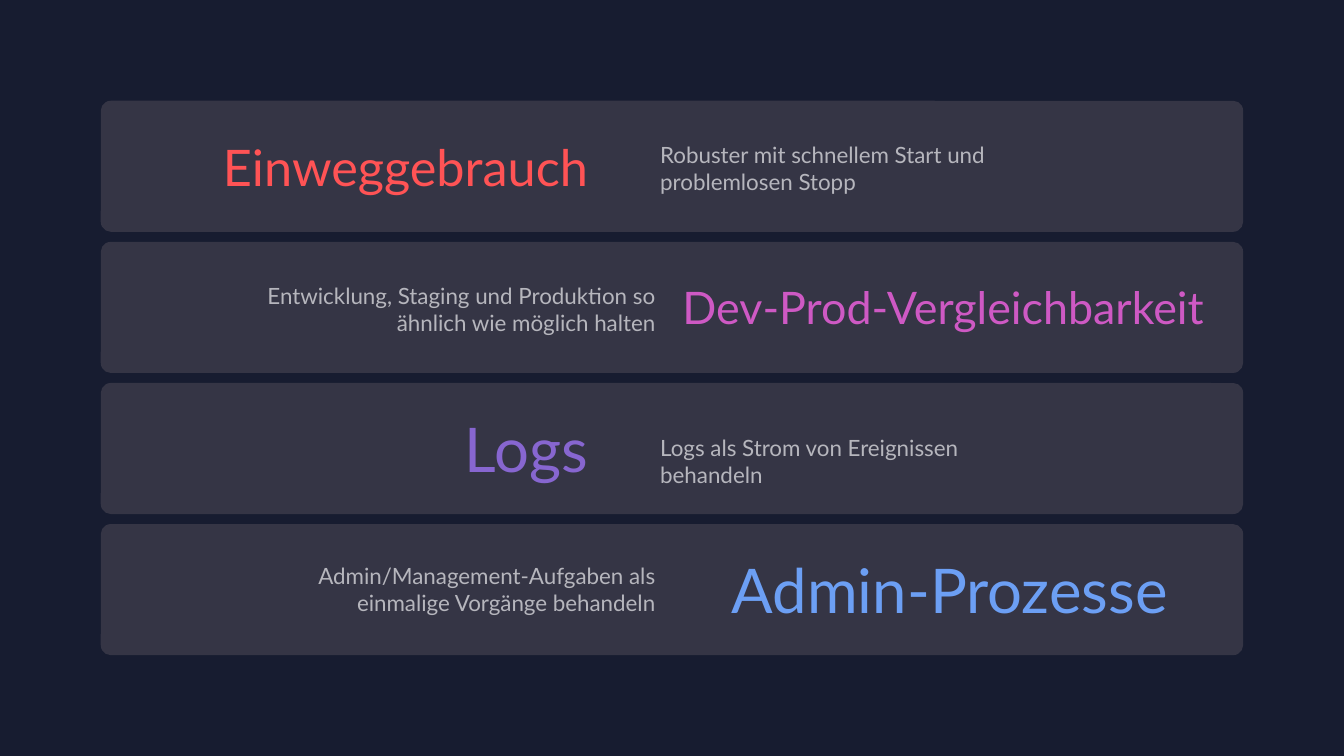
import pptx
import pptx.dml.color
import pptx.enum.shapes
import pptx.enum.text
import pptx.util

Inches = pptx.util.Inches
ALIGN = pptx.enum.text.PP_ALIGN

PRINCIPLES = [
    dict(
        heading="Einweggebrauch", heading_box=(1.19, 1.3, 4.74, 0.71), size=36,
        gradient=("FF5355", "CE59C4"), angle=110, heading_on_left=True,
        detail="Robuster mit schnellem Start und problemlosen Stopp", detail_top=1.35,
    ),
    dict(
        heading="Dev-Prod-Vergleichbarkeit", heading_box=(6.67, 2.73, 5.62, 0.64), size=32,
        gradient=("CE59C4", "8766D0"), angle=110, heading_on_left=False,
        detail="Entwicklung, Staging und Produktion so ähnlich wie möglich halten", detail_top=2.75,
    ),
    dict(
        heading="Logs", heading_box=(0.3, 4.03, 5.63, 0.84), size=44,
        gradient=("8766D0", "6C9FF4"), angle=310, heading_on_left=True,
        detail="Logs als Strom von Ereignissen behandeln", detail_top=4.26,
    ),
    dict(
        heading="Admin-Prozesse", heading_box=(7.16, 5.43, 5.12, 0.84), size=44,
        gradient=("6C9FF4", "5BC9B0"), angle=310, heading_on_left=False,
        detail="Admin/Management-Aufgaben als einmalige Vorgänge behandeln", detail_top=5.53,
    ),
]


def color(value):
    return pptx.dml.color.RGBColor.from_string(value)


class PrincipleSlide:
    """Holds the dark card style and the slide being filled."""

    font_name = "Lato"
    background = "171C30"
    card_fill = "353545"
    detail_color = "B6B6BD"

    def __init__(self, presentation):
        self.slide = presentation.slides.add_slide(presentation.slide_layouts[6])
        fill = self.slide.background.fill
        fill.solid()
        fill.fore_color.rgb = color(self.background)

    def card(self, top):
        shape = self.slide.shapes.add_shape(
            pptx.enum.shapes.MSO_SHAPE.ROUNDED_RECTANGLE,
            Inches(1), Inches(top), Inches(11.33), Inches(1.3),
        )
        shape.adjustments[0] = 0.076
        shape.shadow.inherit = False
        shape.fill.solid()
        shape.fill.fore_color.rgb = color(self.card_fill)
        shape.line.fill.background()

    def text(self, text, box, size, align, solid=None, gradient=None, angle=0):
        shape = self.slide.shapes.add_textbox(*map(Inches, box))
        frame = shape.text_frame
        frame.word_wrap = True
        frame.auto_size = pptx.enum.text.MSO_AUTO_SIZE.SHAPE_TO_FIT_TEXT
        paragraph = frame.paragraphs[0]
        paragraph.alignment = align
        run = paragraph.add_run()
        run.text = text
        run.font.name = self.font_name
        run.font.size = pptx.util.Pt(size)
        if gradient:
            self.gradient(run.font.fill, gradient, angle)
        else:
            run.font.color.rgb = color(solid)

    def gradient(self, fill, colors, angle):
        fill.gradient()
        fill.gradient_angle = 360 - angle
        for stop, value, position in zip(fill.gradient_stops, colors, (0.01, 1)):
            stop.color.rgb = color(value)
            stop.position = position

    def principle(self, heading, heading_box, size, gradient, angle,
                  heading_on_left, detail, detail_top):
        if heading_on_left:
            heading_align, detail_align, detail_left = ALIGN.RIGHT, ALIGN.LEFT, 6.45
        else:
            heading_align, detail_align, detail_left = ALIGN.LEFT, ALIGN.RIGHT, 2.44
        self.text(heading, heading_box, size, heading_align, gradient=gradient, angle=angle)
        self.text(detail, (detail_left, detail_top, 4.16, 0.64), 16, detail_align,
                  solid=self.detail_color)


def main():
    presentation = pptx.Presentation()
    presentation.slide_width = Inches(13.33)
    presentation.slide_height = Inches(7.5)
    slide = PrincipleSlide(presentation)
    for row, principle in enumerate(PRINCIPLES):
        slide.card(1 + 1.4 * row)
        slide.principle(**principle)
    presentation.save("out.pptx")


if __name__ == "__main__":
    main()
